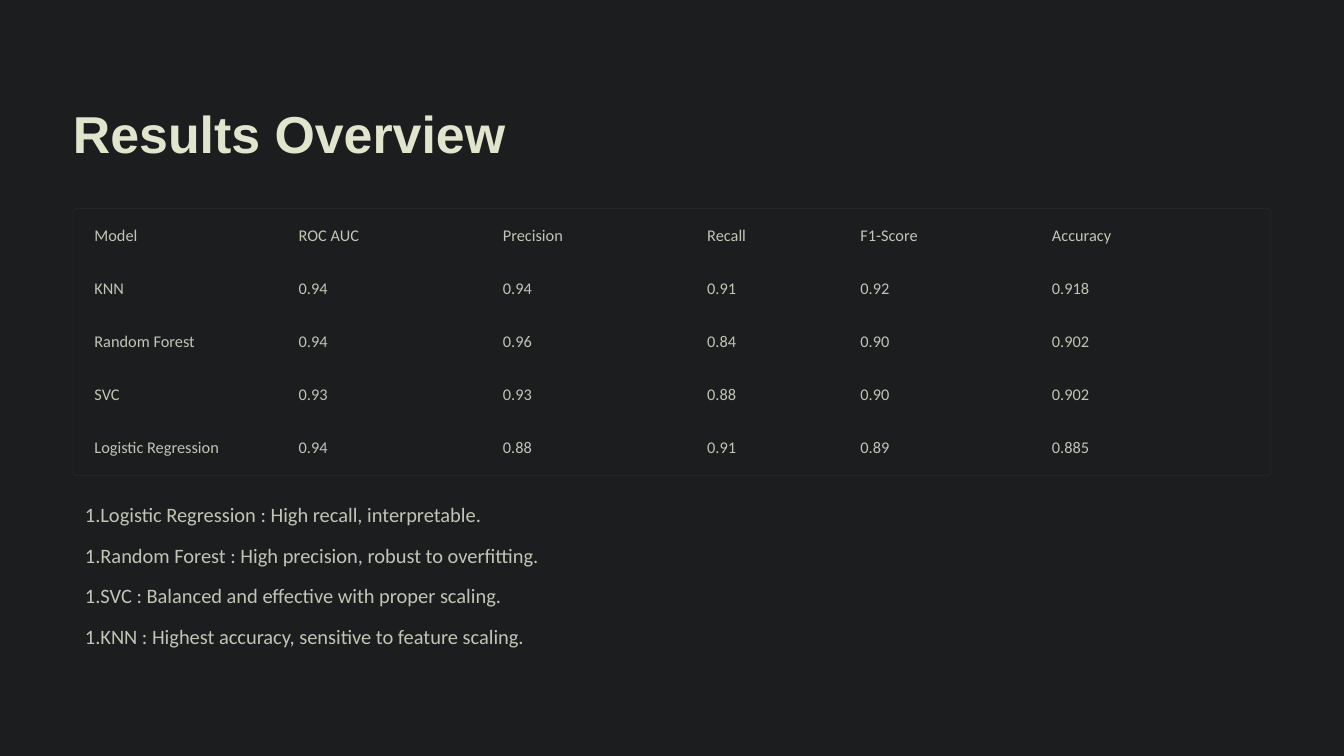
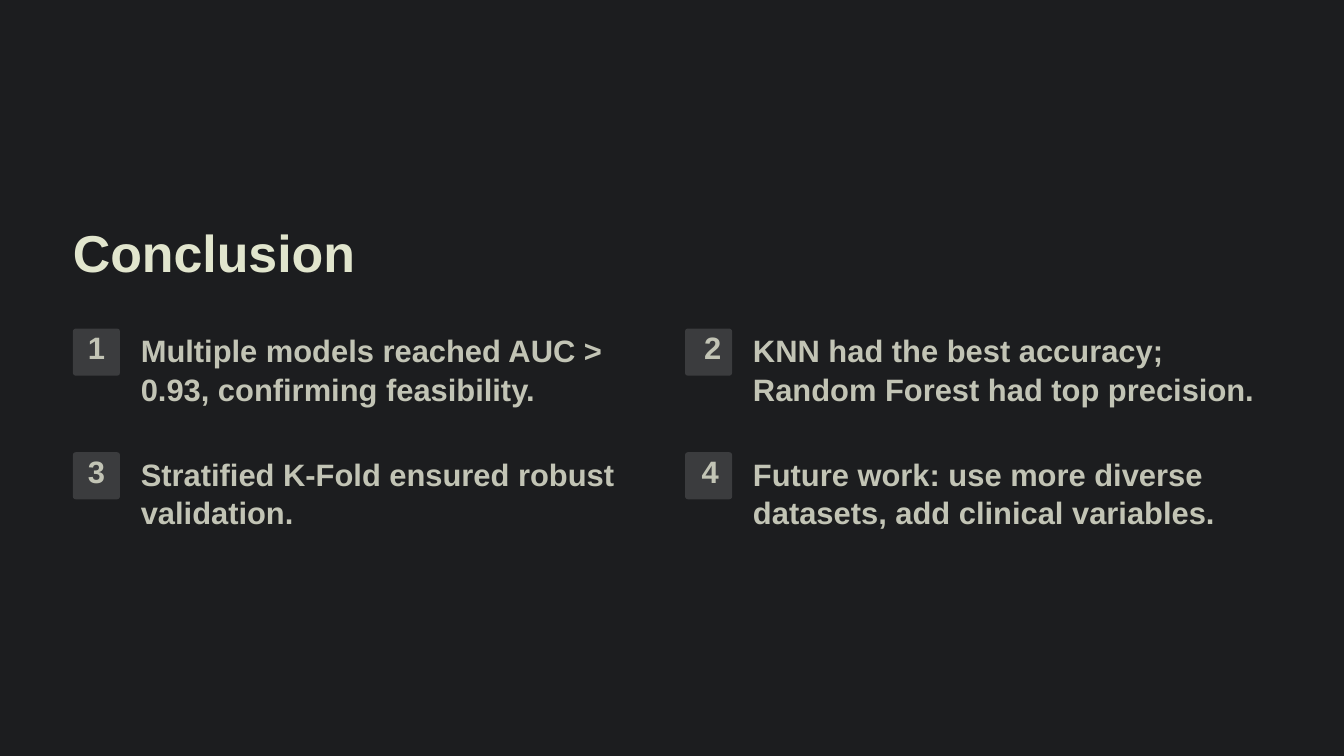
from dataclasses import dataclass

from pptx import Presentation
from pptx.dml.color import RGBColor
from pptx.enum.shapes import MSO_SHAPE
from pptx.enum.text import MSO_ANCHOR, PP_ALIGN
from pptx.oxml.ns import qn
from pptx.util import Inches, Pt
from lxml.etree import SubElement


@dataclass(frozen=True)
class TextStyle:
    font: str
    size: float
    leading: float
    color: RGBColor
    bold: bool = False


@dataclass(frozen=True)
class Theme:
    background = RGBColor.from_string("1C1D1F")
    border = RGBColor.from_string("272829")
    badge = RGBColor.from_string("3B3C3E")
    heading = RGBColor.from_string("E1E5CD")
    body = RGBColor.from_string("C2C4B5")
    title = TextStyle("Arial", 55.6, 69.4, heading, True)
    cell = TextStyle("Calibri", 17.5, 28.1, body)
    remark = TextStyle("Calibri", 21.85, 35.6, body)
    number = TextStyle("Arial", 33.1, 33.1, body, True)
    point = TextStyle("Arial", 33.1, 41.2, body, True)


THEME = Theme()
LEFT = 1.085
CONTENT_WIDTH = 17.83
NO_GRID_STYLE = "{2D5ABB26-0587-4C30-8999-92F81FD0307C}"


def write(frame, text, style):
    """Fill a text frame or table cell frame with one styled paragraph."""
    paragraph = frame.paragraphs[0]
    paragraph.line_spacing = Pt(style.leading)
    run = paragraph.add_run()
    run.text = text
    settings = {"name": style.font, "size": Pt(style.size), "bold": style.bold}
    for attribute, value in settings.items():
        setattr(run.font, attribute, value)
    run.font.color.rgb = style.color
    return paragraph


def add_text(slide, left, top, width, height, text, style):
    """Add a wrapping text box without margins."""
    box = slide.shapes.add_textbox(
        Inches(left), Inches(top), Inches(width), Inches(height))
    frame = box.text_frame
    frame.word_wrap = True
    frame.margin_left = frame.margin_right = 0
    frame.margin_top = frame.margin_bottom = 0
    return write(frame, text, style)


deck = Presentation()
deck.slide_width = Inches(20)
deck.slide_height = Inches(11.25)

slides = []
for title, title_top in [("Results Overview", 1.47), ("Conclusion", 3.25)]:
    slide = deck.slides.add_slide(deck.slide_layouts[6])
    backdrop = slide.shapes.add_shape(
        MSO_SHAPE.RECTANGLE, 0, 0, deck.slide_width, deck.slide_height)
    backdrop.shadow.inherit = False
    backdrop.line.fill.background()
    for fill in (slide.background.fill, backdrop.fill):
        fill.solid()
        fill.fore_color.rgb = THEME.background
    add_text(slide, LEFT, title_top, 7.75, 1.02, title, THEME.title)
    slides.append(slide)
results, conclusion = slides

# Results Overview: framed score table
border = results.shapes.add_shape(
    MSO_SHAPE.ROUNDED_RECTANGLE,
    Inches(LEFT), Inches(3.1), Inches(CONTENT_WIDTH), Inches(3.98))
border.adjustments[0] = 0.015
border.shadow.inherit = False
border.fill.background()
border.line.color.rgb = THEME.border
border.line.width = Pt(0.75)

SCORES = [
    ("Model", "ROC AUC", "Precision", "Recall", "F1-Score", "Accuracy"),
    ("KNN", "0.94", "0.94", "0.91", "0.92", "0.918"),
    ("Random Forest", "0.94", "0.96", "0.84", "0.90", "0.902"),
    ("SVC", "0.93", "0.93", "0.88", "0.90", "0.902"),
    ("Logistic Regression", "0.94", "0.88", "0.91", "0.89", "0.885"),
]
COLUMN_WIDTHS = [3.04, 3.04, 3.04, 2.28, 2.85, 3.58]
ROW_HEIGHT = 0.79

score_frame = results.shapes.add_table(
    len(SCORES), len(COLUMN_WIDTHS), Inches(LEFT), Inches(3.11),
    Inches(CONTENT_WIDTH), Inches(ROW_HEIGHT * len(SCORES)))
for style_id in score_frame.element.iter(qn("a:tableStyleId")):
    style_id.text = NO_GRID_STYLE
score_table = score_frame.table
score_table.first_row = score_table.horz_banding = False
for column, width in zip(score_table.columns, COLUMN_WIDTHS):
    column.width = Inches(width)
for row, scores in zip(score_table.rows, SCORES):
    row.height = Inches(ROW_HEIGHT)
    for cell, score in zip(row.cells, scores):
        cell.fill.background()
        cell.margin_left = cell.margin_right = Inches(0.32)
        cell.margin_top = Inches(0.16)
        cell.margin_bottom = 0
        write(cell.text_frame, score, THEME.cell)

# Results Overview: remarks, each numbered from 1 in its own box
REMARKS = [
    "Logistic Regression : High recall, interpretable.",
    "Random Forest : High precision, robust to overfitting.",
    "SVC : Balanced and effective with proper scaling.",
    "KNN : Highest accuracy, sensitive to feature scaling.",
]
REMARKS_TOP, LAST_REMARK_TOP = 7.34, 9.16
remark_pitch = (LAST_REMARK_TOP - REMARKS_TOP) / (len(REMARKS) - 1)
for index, remark in enumerate(REMARKS):
    paragraph = add_text(results, LEFT, REMARKS_TOP + remark_pitch * index,
                         CONTENT_WIDTH, 0.57, remark, THEME.remark)
    paragraph.level = 1
    properties = paragraph._p.get_or_add_pPr()
    properties.set("marL", str(Inches(0.36)))
    properties.set("indent", str(-Inches(0.18)))
    SubElement(properties, qn("a:buAutoNum"), type="arabicPeriod")

# Conclusion: numbered points in two columns, with the inset of each number
POINTS = [
    ("Multiple models reached AUC > 0.93, confirming feasibility.", 0),
    ("KNN had the best accuracy; Random Forest had top precision.", 0.12),
    ("Stratified K-Fold ensured robust validation.", 0),
    ("Future work: use more diverse datasets, add clinical variables.", 0.05),
]
BADGE_SIZE = 0.7
for index, (point, inset) in enumerate(POINTS):
    row, column = divmod(index, 2)
    left = LEFT + 9.11 * column
    top = 4.89 + 1.84 * row
    badge = conclusion.shapes.add_shape(
        MSO_SHAPE.ROUNDED_RECTANGLE,
        Inches(left), Inches(top), Inches(BADGE_SIZE), Inches(BADGE_SIZE))
    badge.adjustments[0] = 0.06
    badge.shadow.inherit = False
    badge.fill.solid()
    badge.fill.fore_color.rgb = THEME.badge
    badge.line.fill.background()
    number = badge.text_frame
    number.vertical_anchor = MSO_ANCHOR.TOP
    number.margin_left = Inches(inset)
    number.margin_right = number.margin_bottom = 0
    number.margin_top = Inches(0.08)
    write(number, str(index + 1), THEME.number).alignment = PP_ALIGN.CENTER
    add_text(conclusion, left + 1.01, top + 0.03, 7.71, 1.19, point, THEME.point)

deck.save("out.pptx")
